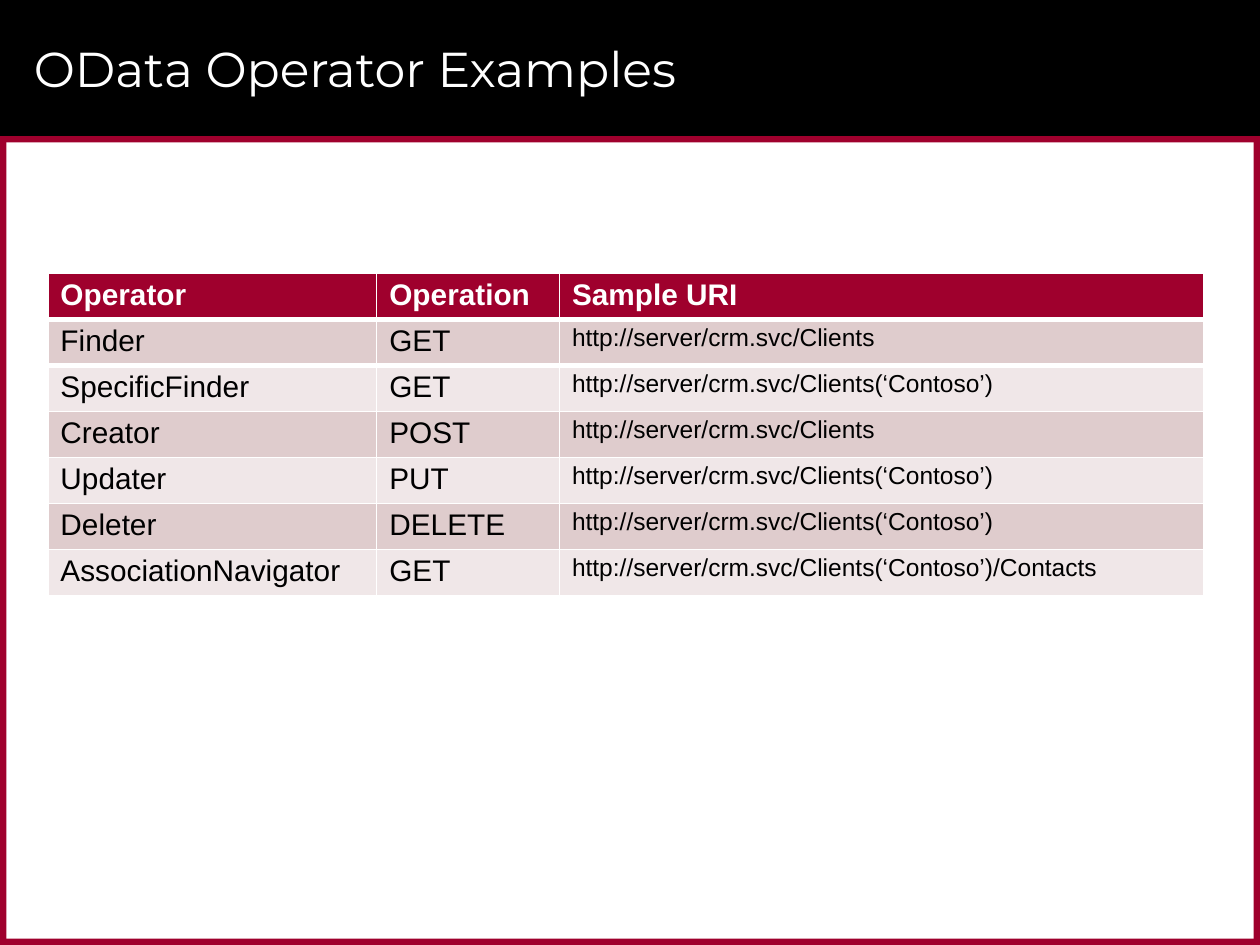
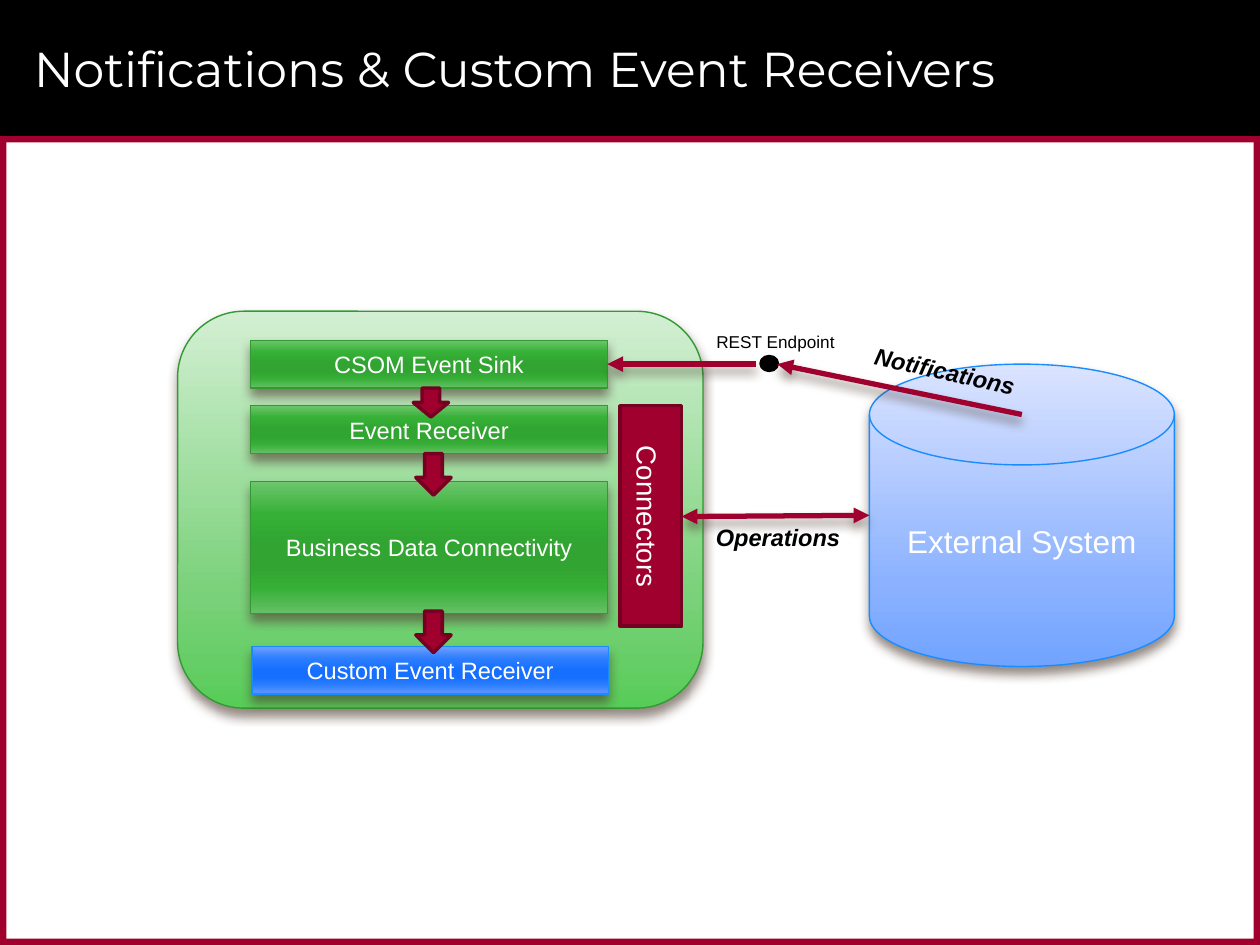
"""Build two slides on OData operators and on notifications with custom event receivers."""
from lxml import etree
from pptx import Presentation
from pptx.dml.color import RGBColor
from pptx.enum.shapes import MSO_CONNECTOR, MSO_SHAPE
from pptx.enum.text import MSO_ANCHOR, PP_ALIGN
from pptx.oxml.ns import qn
from pptx.util import Inches, Pt

RECTANGLE = MSO_SHAPE.RECTANGLE
ROUNDED = MSO_SHAPE.ROUNDED_RECTANGLE
DISK = MSO_SHAPE.FLOWCHART_MAGNETIC_DISK
DOT = MSO_SHAPE.FLOWCHART_CONNECTOR
DOWN_ARROW = MSO_SHAPE.DOWN_ARROW
STRAIGHT = MSO_CONNECTOR.STRAIGHT
MIDDLE = MSO_ANCHOR.MIDDLE
CENTER = PP_ALIGN.CENTER

BLACK = RGBColor(0x00, 0x00, 0x00)
WHITE = RGBColor(0xFF, 0xFF, 0xFF)
CRIMSON = RGBColor(0x9F, 0x00, 0x2D)
DARK_CRIMSON = RGBColor(0x76, 0x00, 0x21)
GREEN = RGBColor(0x33, 0x99, 0x33)
BLUE = RGBColor(0x19, 0x8C, 0xFF)
SHADOW = RGBColor(0x4E, 0x3B, 0x30)
ROW_FILLS = (RGBColor(0xDF, 0xCC, 0xCD), RGBColor(0xF0, 0xE7, 0xE8))

PALE_GREEN = ((0, "D3EFD3"), (72, "79D179"), (100, "58CC58"))
PALE_BLUE = ((0, "DBE4FF"), (72, "8CB2FF"), (100, "71A4FF"))
GLOSSY_GREEN = ((0, "6DC66D"), (25, "36B036"), (50, "31A431"),
                (65, "31A431"), (80, "36AF36"), (100, "65C065"))
GLOSSY_BLUE = ((0, "71A0FF"), (25, "2D7EFF"), (50, "166FFF"),
               (65, "166FFF"), (80, "2B7DFF"), (100, "6398FF"))

BODY_FONT = "Arial"
TITLE_FONT = "Montserrat"
WIDTH, HEIGHT = 10, 7.5
BAND_HEIGHT = 1.08
BORDER = 0.05

OPERATORS_TITLE = "OData Operator Examples"
SERVICE = "http://server/crm.svc/Clients"
CLIENT = SERVICE + "(‘Contoso’)"
OPERATORS = [
    ("Operator", "Operation", "Sample URI"),
    ("Finder", "GET", SERVICE),
    ("SpecificFinder", "GET", CLIENT),
    ("Creator", "POST", SERVICE),
    ("Updater", "PUT", CLIENT),
    ("Deleter", "DELETE", CLIENT),
    ("AssociationNavigator", "GET", CLIENT + "/Contacts"),
]
COLUMN_WIDTHS = (2.61, 1.45, 5.11)
TABLE_LEFT, TABLE_TOP, TABLE_HEIGHT = 0.38, 2.17, 2.56
CELL_MARGIN = 0.04

EVENTS_TITLE = "Notifications & Custom Event Receivers"
GLOSSY_PARTS = [
    (ROUNDED, (1.41, 2.47, 4.17, 3.15), PALE_GREEN, GREEN, "", 18),
    (DISK, (6.9, 2.89, 2.42, 2.4), PALE_BLUE, BLUE, "External System", 18),
    (RECTANGLE, (2, 5.13, 2.83, 0.38), GLOSSY_BLUE, BLUE, "Custom Event Receiver", 13.5),
    (RECTANGLE, (1.99, 2.7, 2.83, 0.38), GLOSSY_GREEN, GREEN, "CSOM Event Sink", 13.5),
    (RECTANGLE, (1.99, 3.22, 2.83, 0.38), GLOSSY_GREEN, GREEN, "Event Receiver", 13.5),
    (RECTANGLE, (1.99, 3.82, 2.83, 1.05), GLOSSY_GREEN, GREEN, "Business Data Connectivity", 13.5),
]
FLAT_PARTS = [
    (DOT, (6.04, 2.83, 0.13, 0.11), BLACK, BLACK),
    (RECTANGLE, (4.92, 3.22, 0.49, 1.75), CRIMSON, DARK_CRIMSON),
]
ARROW_LINES = [
    ((4.82, 2.89), (6, 2.89), ("headEnd",)),
    ((5.41, 4.1), (6.9, 4.09), ("headEnd", "tailEnd")),
    ((8.11, 3.29), (6.17, 2.89), ("tailEnd",)),
]
LABELS = [
    ("REST Endpoint", (5.54, 2.58, 1.23, 0.26), 9.8, BLACK, False, 0),
    ("Connectors", (4.43, 3.92, 1.42, 0.36), 15.8, WHITE, False, 90),
    ("Operations", (5.53, 4.1, 1.29, 0.32), 13.5, BLACK, True, 0),
    ("Notifications", (6.78, 2.78, 1.44, 0.32), 13.5, BLACK, True, 12.4),
]
STEP_ARROWS = [(3.28, 3.08, 0.28, 0.23), (3.3, 3.6, 0.28, 0.33), (3.3, 4.85, 0.28, 0.33)]


def inches(values):
    return [Inches(value) for value in values]


def add_element(parent, tag, **attributes):
    element = etree.SubElement(parent, qn(tag))
    for name, value in attributes.items():
        element.set(name, str(value))
    return element


def write(frame, text, size, color, font_name=BODY_FONT, bold=False, italic=False):
    paragraph = frame.paragraphs[0]
    run = paragraph.add_run()
    run.text = text
    font = run.font
    font.name, font.size = font_name, Pt(size)
    font.bold, font.italic = bold, italic
    font.color.rgb = color
    return paragraph


def add_shadow(effects):
    shadow = add_element(effects, "a:outerShdw", blurRad=Pt(6), dist=Pt(4),
                         dir=5400000, rotWithShape=0)
    color = add_element(shadow, "a:srgbClr", val=SHADOW)
    add_element(color, "a:alpha", val=60000)


def add_flat(slide, preset, place, fill, line=None):
    shape = slide.shapes.add_shape(preset, *inches(place))
    shape.shadow.inherit = False
    shape.fill.solid()
    shape.fill.fore_color.rgb = fill
    if line is None:
        shape.line.fill.background()
    else:
        shape.line.color.rgb = line
        shape.line.width = Pt(2)


def add_glossy(slide, preset, place, stops, line, text, size):
    shape = slide.shapes.add_shape(preset, *inches(place))
    shape.fill.gradient()
    shape.fill.gradient_angle = 270
    properties = shape._element.spPr
    stop_list = properties.find(".//" + qn("a:gsLst"))
    for stop in list(stop_list):
        stop_list.remove(stop)
    for position, color in stops:
        stop = add_element(stop_list, "a:gs", pos=position * 1000)
        add_element(stop, "a:srgbClr", val=color)
    shape.line.color.rgb = line
    shape.line.width = Pt(0.79)
    shape.shadow.inherit = False
    add_shadow(properties.find(qn("a:effectLst")))
    if text:
        frame = shape.text_frame
        frame.word_wrap = True
        frame.vertical_anchor = MIDDLE
        write(frame, text, size, WHITE).alignment = CENTER


def add_arrow_line(slide, start, end, heads):
    connector = slide.shapes.add_connector(STRAIGHT, *inches(start + end))
    connector.line.color.rgb = CRIMSON
    connector.line.width = Pt(3)
    properties = connector._element.spPr
    for head in heads:
        add_element(properties.find(qn("a:ln")), "a:" + head, type="triangle")
    add_shadow(add_element(properties, "a:effectLst"))


def add_label(slide, text, place, size, color, emphasis, rotation):
    box = slide.shapes.add_textbox(*inches(place))
    box.rotation = rotation
    box.text_frame.word_wrap = True
    paragraph = write(box.text_frame, text, size, color, bold=emphasis, italic=emphasis)
    paragraph.alignment = CENTER


def add_cell_border(cell, side):
    properties = cell._tc.get_or_add_tcPr()
    border = add_element(properties, "a:" + side, w=Pt(3))
    add_element(add_element(border, "a:solidFill"), "a:srgbClr", val=WHITE)
    properties.insert(0, border)


def add_titled_slide(presentation, title):
    slide = presentation.slides.add_slide(presentation.slide_layouts[6])
    side_height = HEIGHT - BAND_HEIGHT
    add_flat(slide, RECTANGLE, (0, 0, WIDTH, BAND_HEIGHT), BLACK)
    for place in ((0, BAND_HEIGHT, WIDTH, BORDER),
                  (0, HEIGHT - BORDER, WIDTH, BORDER),
                  (WIDTH - BORDER, BAND_HEIGHT, BORDER, side_height),
                  (0, BAND_HEIGHT, BORDER, side_height)):
        add_flat(slide, RECTANGLE, place, CRIMSON)
    box = slide.shapes.add_textbox(*inches((0.17, 0.08, 9.42, 0.92)))
    box.text_frame.word_wrap = True
    box.text_frame.vertical_anchor = MIDDLE
    write(box.text_frame, title, 28, WHITE, TITLE_FONT)
    return slide


def build_operators(presentation):
    slide = add_titled_slide(presentation, OPERATORS_TITLE)
    place = (TABLE_LEFT, TABLE_TOP, sum(COLUMN_WIDTHS), TABLE_HEIGHT)
    table = slide.shapes.add_table(len(OPERATORS), len(COLUMN_WIDTHS), *inches(place)).table
    for column, width in zip(table.columns, COLUMN_WIDTHS):
        column.width = Inches(width)
    for row_index, values in enumerate(OPERATORS):
        header = row_index == 0
        for column_index, text in enumerate(values):
            cell = table.cell(row_index, column_index)
            cell.margin_top = cell.margin_bottom = Inches(CELL_MARGIN)
            cell.fill.solid()
            cell.fill.fore_color.rgb = CRIMSON if header else ROW_FILLS[(row_index - 1) % 2]
            if row_index < 2:
                add_cell_border(cell, "lnB" if header else "lnT")
            size = 14 if column_index == 2 and not header else 17
            write(cell.text_frame, text, size, WHITE if header else BLACK, bold=header)


def build_events(presentation):
    slide = add_titled_slide(presentation, EVENTS_TITLE)
    for part in GLOSSY_PARTS:
        add_glossy(slide, *part)
    for part in FLAT_PARTS:
        add_flat(slide, *part)
    for arrow_line in ARROW_LINES:
        add_arrow_line(slide, *arrow_line)
    for label in LABELS:
        add_label(slide, *label)
    for place in STEP_ARROWS:
        add_flat(slide, DOWN_ARROW, place, CRIMSON, DARK_CRIMSON)


def main():
    presentation = Presentation()
    presentation.slide_width = Inches(WIDTH)
    presentation.slide_height = Inches(HEIGHT)
    build_operators(presentation)
    build_events(presentation)
    presentation.save("out.pptx")


if __name__ == "__main__":
    main()
